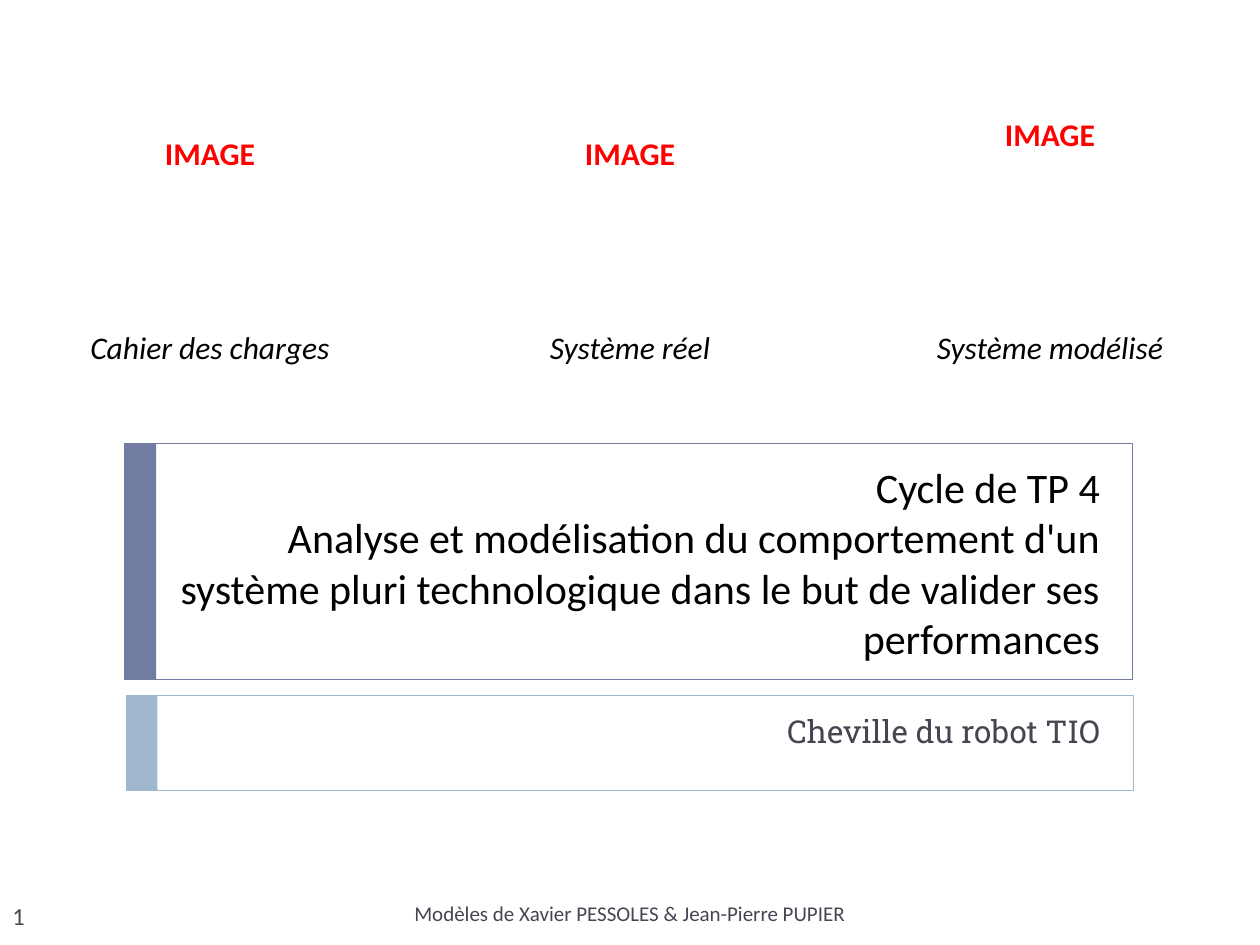
"""Build the title slide of a practical-work cycle."""
from dataclasses import dataclass

from pptx import Presentation
from pptx.dml.color import RGBColor
from pptx.enum.shapes import MSO_SHAPE
from pptx.enum.text import MSO_ANCHOR, MSO_AUTO_SIZE, PP_ALIGN
from pptx.util import Inches, Pt

RECTANGLE = MSO_SHAPE.RECTANGLE
TOP, MIDDLE, BOTTOM = MSO_ANCHOR.TOP, MSO_ANCHOR.MIDDLE, MSO_ANCHOR.BOTTOM
LEFT, CENTER, RIGHT = PP_ALIGN.LEFT, PP_ALIGN.CENTER, PP_ALIGN.RIGHT
NO_FIT = MSO_AUTO_SIZE.NONE

INDIGO = RGBColor(0x72, 0x7C, 0xA3)
SKY = RGBColor(0x9F, 0xB8, 0xCD)
SLATE = RGBColor(0x46, 0x46, 0x53)
BLACK = RGBColor(0x00, 0x00, 0x00)
RED = RGBColor(0xFF, 0x00, 0x00)

SLIDE_WIDTH, SLIDE_HEIGHT = Inches(10), Inches(7.5)
BAR_WIDTH = Inches(0.25)
FOOTER_TOP, FOOTER_HEIGHT = 7.1, 0.4
CAPTIONS = ("Cahier des charges", "Système réel", "Système modélisé")
ROW_HEIGHTS = (2.46, 0.51)
LAST_IMAGE_MARGIN = Inches(0.35)


@dataclass(frozen=True)
class Box:
    """A rectangle in inches."""
    left: float
    top: float
    width: float
    height: float

    def lengths(self):
        """Return the four lengths in slide units."""
        return tuple(map(Inches, (self.left, self.top, self.width, self.height)))


@dataclass(frozen=True)
class TextStyle:
    """The look of a run and its paragraph."""
    size: int
    color: RGBColor
    alignment: PP_ALIGN
    font: str = "Calibri"
    bold: bool = False
    italic: bool = False
    space_before: int = 0


@dataclass(frozen=True)
class Panel:
    """An outlined frame with a solid bar at its left."""
    box: Box
    color: RGBColor


@dataclass(frozen=True)
class Label:
    """A text box with one line of text."""
    box: Box
    text: str
    style: TextStyle


PANELS = (
    Panel(Box(0.99, 3.52, 8, 1.87), INDIGO),
    Panel(Box(1, 5.52, 8, 0.75), SKY),
)
TITLE_BOX = Box(1.33, 3.59, 7.5, 1.74)
TITLE_LINES = (
    "Cycle de TP 4",
    "Analyse et modélisation du comportement d'un système pluri "
    "technologique dans le but de valider ses performances",
)
TITLE_STYLE = TextStyle(24, BLACK, RIGHT)
IMAGE_STYLE = TextStyle(18, RED, CENTER, bold=True)
CAPTION_STYLE = TextStyle(18, BLACK, CENTER, italic=True)
LABELS = (
    Label(Box(1.33, 5.6, 7.5, 0.58), "Cheville du robot TIO",
          TextStyle(18, SLATE, RIGHT, "Roboto Slab", space_before=6)),
    Label(Box(0, FOOTER_TOP, 1.33, FOOTER_HEIGHT), "1", TextStyle(14, SLATE, LEFT)),
    Label(Box(0, FOOTER_TOP, 10, FOOTER_HEIGHT),
          "Modèles de Xavier PESSOLES & Jean-Pierre PUPIER",
          TextStyle(12, SLATE, CENTER)),
)


def write_lines(text_frame, lines: tuple, style: TextStyle) -> None:
    """Write lines as runs of one paragraph."""
    paragraph = text_frame.paragraphs[0]
    paragraph.alignment = style.alignment
    paragraph.space_before = Pt(style.space_before)
    for index, line in enumerate(lines):
        if index:
            paragraph.add_line_break()
        run = paragraph.add_run()
        run.text = line
        font = run.font
        font.name, font.size = style.font, Pt(style.size)
        font.bold, font.italic = style.bold, style.italic
        font.color.rgb = style.color


def draw_panel(slide, panel: Panel) -> None:
    """Draw the frame and its bar."""
    left, top, width, height = panel.box.lengths()
    frame = slide.shapes.add_shape(RECTANGLE, left, top, width, height)
    frame.fill.background()
    frame.line.color.rgb = panel.color
    frame.line.width = Pt(0.5)
    bar = slide.shapes.add_shape(RECTANGLE, left, top, BAR_WIDTH, height)
    bar.fill.solid()
    bar.fill.fore_color.rgb = panel.color
    bar.line.fill.background()
    for shape in (frame, bar):
        shape.shadow.inherit = False


def place_title(slide) -> None:
    """Move and fill the title placeholder."""
    title = slide.shapes.title
    title.left, title.top, title.width, title.height = TITLE_BOX.lengths()
    text_frame = title.text_frame
    text_frame.auto_size = NO_FIT
    text_frame.word_wrap = True
    text_frame.vertical_anchor = MIDDLE
    write_lines(text_frame, TITLE_LINES, TITLE_STYLE)


def draw_label(slide, label: Label) -> None:
    """Draw one text box."""
    text_frame = slide.shapes.add_textbox(*label.box.lengths()).text_frame
    text_frame.word_wrap = True
    text_frame.vertical_anchor = TOP
    write_lines(text_frame, (label.text,), label.style)


def fill_cell(cell, text: str, style: TextStyle, anchor: MSO_ANCHOR) -> None:
    """Write one unfilled table cell."""
    cell.fill.background()
    cell.vertical_anchor = anchor
    write_lines(cell.text_frame, (text,), style)


def draw_image_table(slide) -> None:
    """Draw the row of image places above their captions."""
    table = slide.shapes.add_table(
        len(ROW_HEIGHTS), len(CAPTIONS), 0, 0, SLIDE_WIDTH, Inches(sum(ROW_HEIGHTS))
    ).table
    table.first_row = table.horz_banding = False
    for row, height in zip(table.rows, ROW_HEIGHTS):
        row.height = Inches(height)
    for column, caption in enumerate(CAPTIONS):
        fill_cell(table.cell(0, column), "IMAGE", IMAGE_STYLE, MIDDLE)
        fill_cell(table.cell(1, column), caption, CAPTION_STYLE, BOTTOM)
    table.cell(0, len(CAPTIONS) - 1).margin_bottom = LAST_IMAGE_MARGIN


def main() -> None:
    """Build and save the presentation."""
    presentation = Presentation()
    presentation.slide_width, presentation.slide_height = SLIDE_WIDTH, SLIDE_HEIGHT
    slide = presentation.slides.add_slide(presentation.slide_layouts[5])
    for panel in PANELS:
        draw_panel(slide, panel)
    place_title(slide)
    for label in LABELS:
        draw_label(slide, label)
    draw_image_table(slide)
    presentation.save("out.pptx")


if __name__ == "__main__":
    main()
